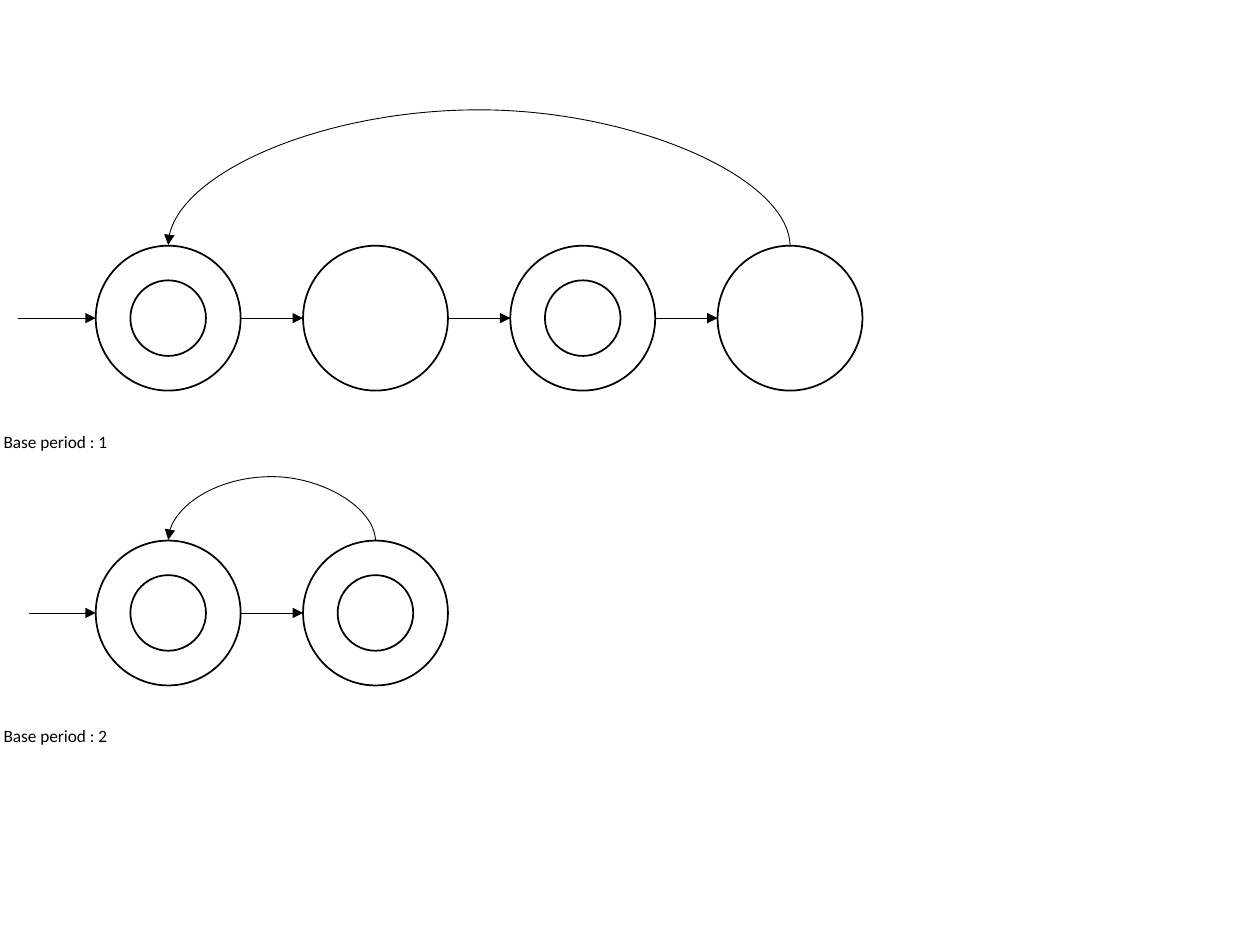
"""Draw two cyclic state automata, one for each base period."""
from lxml import etree
from pptx import Presentation
from pptx.dml.color import RGBColor
from pptx.enum import shapes, text
from pptx.oxml import ns
from pptx.util import Inches, Pt

AUTOMATA = [
    {"label": "Base period : 1", "accepting": [True, False, True, False],
     "top": 1.95, "entry": 0.14, "rise": 1.1},
    {"label": "Base period : 2", "accepting": [True, True],
     "top": 4.29, "entry": 0.23, "rise": 0.52},
]
COLORS = {"ink": "000000", "paper": "FFFFFF"}
LABEL_FONT = {"name": "Calibri", "size": Pt(9.9)}
FIRST_LEFT, PITCH = 0.76, 1.645
STATE_SIZE, CORE_SIZE = 1.15, 0.6
RETURN_DEPTH = 0.01
LABEL_DROP = 1.42

deck = Presentation()
deck.slide_width, deck.slide_height = Inches(10), Inches(7.5)
slide = deck.slides.add_slide(deck.slide_layouts[6])


def color(key):
    return RGBColor.from_string(COLORS[key])


def add_circle(center_x, center_y, size):
    corner = [Inches(center - size / 2) for center in (center_x, center_y)]
    circle = slide.shapes.add_shape(
        shapes.MSO_SHAPE.OVAL, *corner, Inches(size), Inches(size))
    circle.shadow.inherit = False
    circle.fill.solid()
    circle.fill.fore_color.rgb = color("paper")
    circle.line.color.rgb = color("ink")
    circle.line.width = Pt(1)


def add_arrow(kind, *ends):
    arrow = slide.shapes.add_connector(kind, *map(Inches, ends))
    arrow.line.color.rgb = color("ink")
    arrow.line.width = Pt(0.5)
    etree.SubElement(arrow.line._get_or_add_ln(), ns.qn("a:tailEnd"), type="triangle")
    etree.SubElement(arrow.element.spPr, ns.qn("a:effectLst"))
    return arrow


def add_return(first_x, last_x, top, rise):
    span = last_x - first_x
    left = (first_x + last_x - RETURN_DEPTH) / 2
    arc = add_arrow(shapes.MSO_CONNECTOR.CURVE,
                    left, top + span / 2, left + RETURN_DEPTH, top - span / 2)
    properties = arc.element.spPr
    properties.find(ns.qn("a:xfrm")).set("rot", str(270 * 60000))
    bends = properties.find(ns.qn("a:prstGeom")).get_or_add_avLst()
    bend = round(rise / RETURN_DEPTH * 100000)
    etree.SubElement(bends, ns.qn("a:gd"), name="adj1", fmla=f"val {bend}")


def add_label(wording, top):
    label = slide.shapes.add_textbox(
        Inches(-0.07), Inches(top), Inches(1.74), Inches(0.27))
    label.text_frame.word_wrap = True
    label.text_frame.auto_size = text.MSO_AUTO_SIZE.SHAPE_TO_FIT_TEXT
    run = label.text_frame.paragraphs[0].add_run()
    run.text = wording
    for attribute, value in LABEL_FONT.items():
        setattr(run.font, attribute, value)
    run.font.color.rgb = color("ink")


for automaton in AUTOMATA:
    top = automaton["top"]
    middle = top + STATE_SIZE / 2
    centers = [FIRST_LEFT + STATE_SIZE / 2 + PITCH * index
               for index in range(len(automaton["accepting"]))]
    source = automaton["entry"]
    for center, accepting in zip(centers, automaton["accepting"]):
        add_circle(center, middle, STATE_SIZE)
        if accepting:
            add_circle(center, middle, CORE_SIZE)
        add_arrow(shapes.MSO_CONNECTOR.STRAIGHT,
                  source, middle, center - STATE_SIZE / 2, middle)
        source = center + STATE_SIZE / 2
    add_return(centers[0], centers[-1], top, automaton["rise"])
    add_label(automaton["label"], top + LABEL_DROP)

deck.save("out.pptx")
